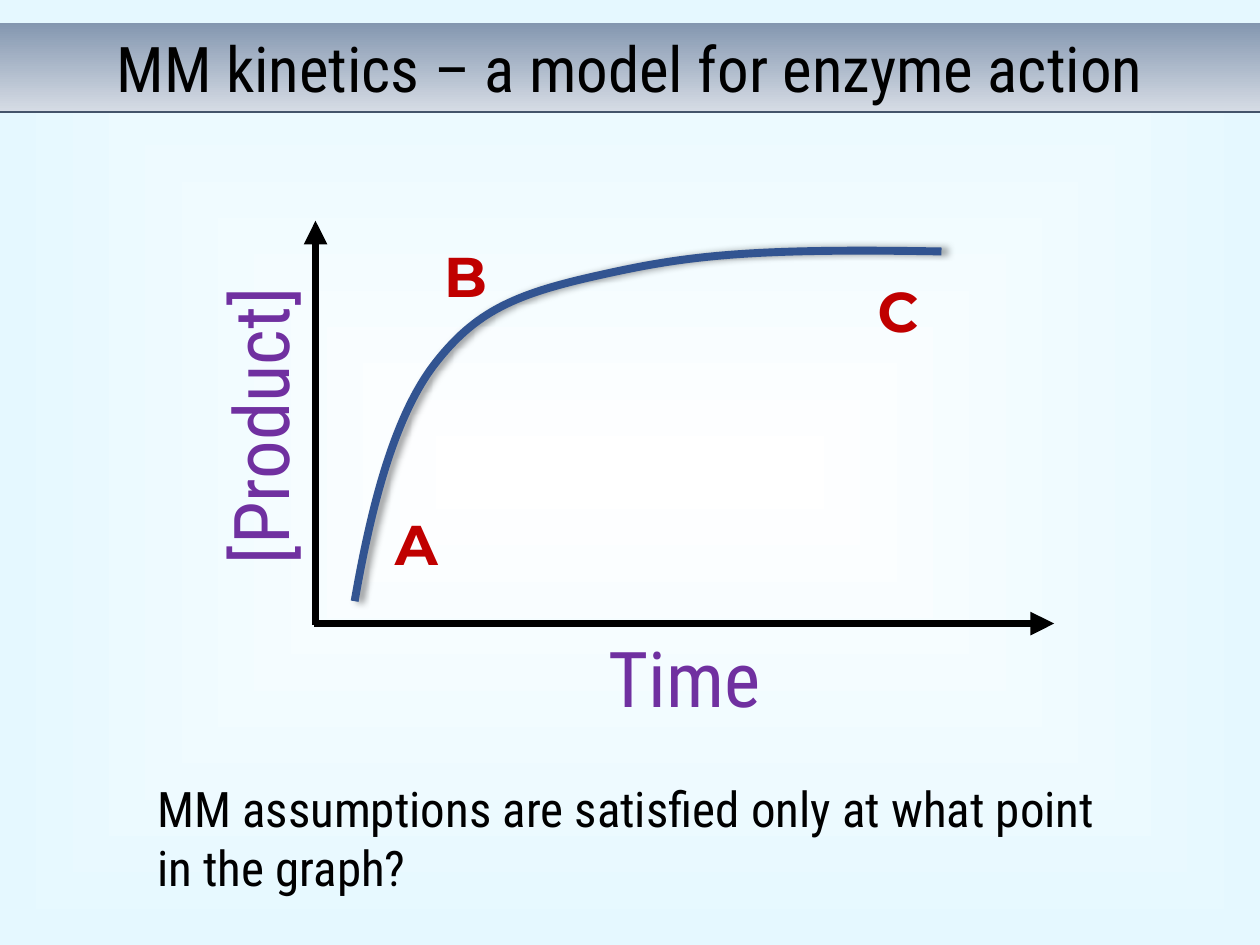
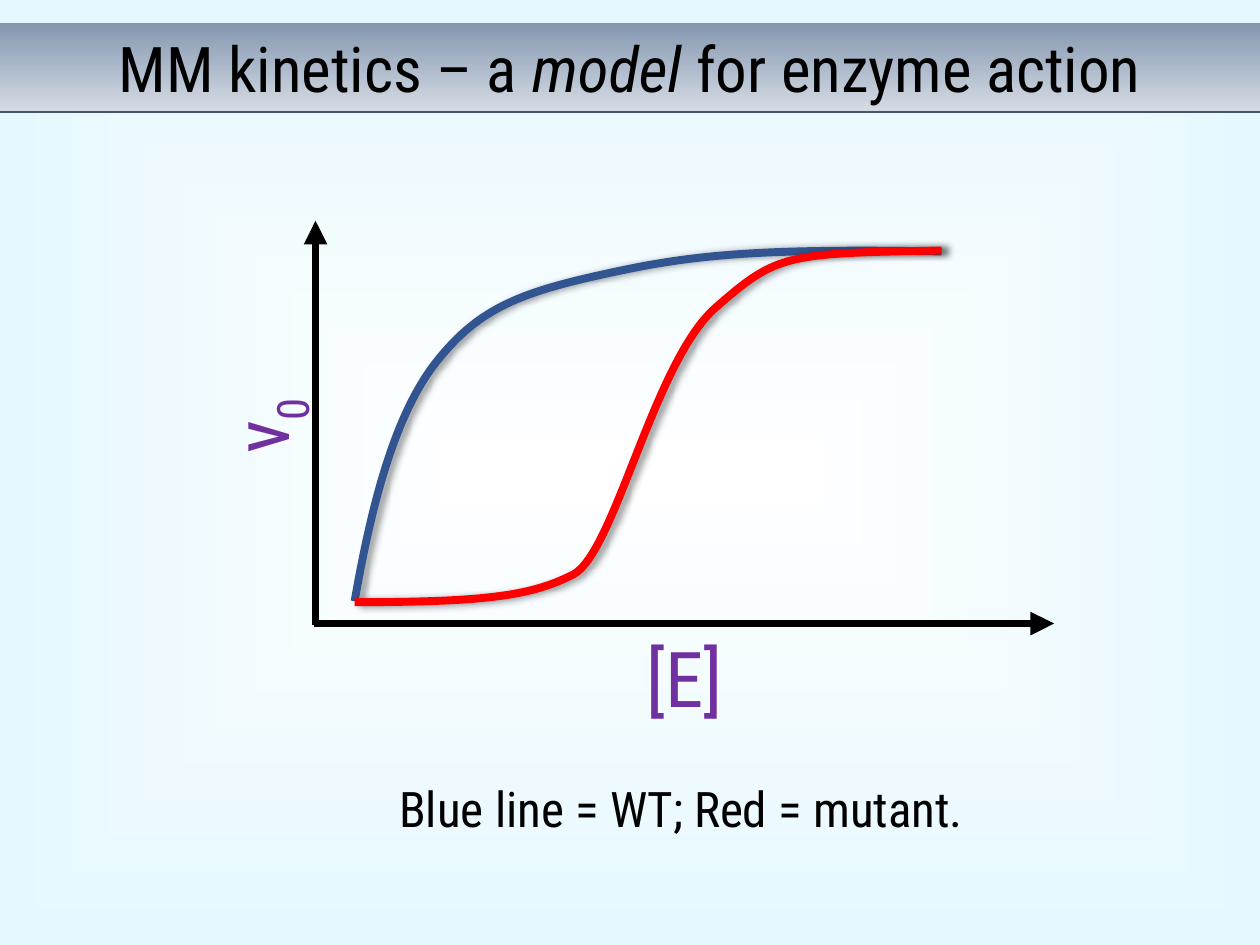
from dataclasses import dataclass
from typing import NamedTuple

from lxml import etree
from pptx import Presentation
from pptx.dml.color import RGBColor
from pptx.enum.shapes import MSO_CONNECTOR
from pptx.enum.text import MSO_ANCHOR, MSO_AUTO_SIZE, PP_ALIGN
from pptx.oxml.ns import qn
from pptx.util import Cm, Pt

STRAIGHT = MSO_CONNECTOR.STRAIGHT
MIDDLE, TOP = MSO_ANCHOR.MIDDLE, MSO_ANCHOR.TOP
NO_AUTOFIT = MSO_AUTO_SIZE.NONE
CENTER, LEFT = PP_ALIGN.CENTER, PP_ALIGN.LEFT
TITLE_ONLY = 5


@dataclass(frozen=True)
class Theme:
    text_font: str = "Roboto Condensed"
    mark_font: str = "Montserrat"
    black: str = "000000"
    axis_label: str = "7030A0"
    mark: str = "C00000"
    wild_type: str = "325491"
    mutant: str = "FF0000"
    band_line: str = "44546A"
    band: tuple[str, str] = ("D6DCE5", "8497B0")
    background: tuple[str, str] = ("FFFFFF", "E5F8FF")
    title_size: int = 36
    axis_size: int = 44
    mark_size: int = 32
    note_size: int = 28
    thin: float = 1
    thick: float = 4.5


THEME = Theme()


class Box(NamedTuple):
    left: float
    top: float
    width: float
    height: float


class Piece(NamedTuple):
    text: str
    italic: bool = False
    baseline: int = 0


class TextStyle(NamedTuple):
    font: str
    size: int
    color: str
    bold: bool = False
    alignment: PP_ALIGN = CENTER
    anchor: MSO_ANCHOR = TOP


class Label(NamedTuple):
    pieces: list[Piece]
    box: Box
    style: TextStyle
    rotation: int = 0


class Curve(NamedTuple):
    """A start point followed by three Bézier points per segment."""
    points: list[tuple[float, float]]
    color: str


@dataclass(frozen=True)
class GraphSlide:
    title: list[Piece]
    curves: list[Curve]
    y_label: list[Piece]
    x_label: list[Piece]
    notes: list[Label]


TITLE_STYLE = TextStyle(THEME.text_font, THEME.title_size, THEME.black, anchor=MIDDLE)
AXIS_STYLE = TextStyle(THEME.text_font, THEME.axis_size, THEME.axis_label)
MARK_STYLE = TextStyle(THEME.mark_font, THEME.mark_size, THEME.mark, bold=True)
NOTE_STYLE = TextStyle(THEME.text_font, THEME.note_size, THEME.black, alignment=LEFT)

# Shared places, in centimetres
SLIDE_WIDTH, SLIDE_HEIGHT = 25.4, 19.05
TITLE_BAND = Box(0, 0.46, SLIDE_WIDTH, 1.8)
BAND_BOTTOM = TITLE_BAND.top + TITLE_BAND.height
Y_AXIS = ((6.36, 12.6), (6.36, 4.45))
X_AXIS = ((6.32, 12.57), (21.25, 12.57))
Y_LABEL_BOX = Box(2.31, 7.52, 5.84, 2.13)
X_LABEL_BOX = Box(12.01, 12.58, 3.58, 2.13)
NOTE_TOP = 15.56

HYPERBOLIC = Curve([
    (7.15, 12.12),
    (7.47, 10.29), (7.92, 8.46), (8.74, 7.37),
    (9.58, 6.27), (10.39, 5.92), (12.12, 5.54),
    (13.82, 5.16), (15.09, 5.0), (18.98, 5.07),
], THEME.wild_type)
SIGMOID = Curve([
    (7.15, 12.14),
    (9.8, 12.14), (10.72, 12.01), (11.56, 11.58),
    (12.4, 11.13), (13.18, 7.29), (14.43, 6.2),
    (15.67, 5.11), (15.85, 5.11), (18.98, 5.05),
], THEME.mutant)


def mark(letter: str, left: float, top: float) -> Label:
    return Label([Piece(letter)], Box(left, top, 1.65, 1.63), MARK_STYLE)


def note(text: str, left: float, width: float, height: float) -> Label:
    return Label([Piece(text)], Box(left, NOTE_TOP, width, height), NOTE_STYLE)


SLIDES = [
    GraphSlide(
        title=[Piece("MM kinetics – a model for enzyme action")],
        curves=[HYPERBOLIC],
        y_label=[Piece("[Product]")],
        x_label=[Piece("Time")],
        notes=[
            mark("A", 7.57, 10.15),
            mark("B", 8.56, 4.74),
            mark("C", 17.28, 5.44),
            note("MM assumptions are satisfied only at what point in the graph?",
                 3.17, 19.05, 2.64),
        ],
    ),
    GraphSlide(
        title=[Piece("MM kinetics – a "), Piece("model", italic=True),
               Piece(" for enzyme action")],
        curves=[HYPERBOLIC, SIGMOID],
        y_label=[Piece("v"), Piece("0", baseline=-25000)],
        x_label=[Piece("[E]")],
        notes=[note("Blue line = WT; Red = mutant.", 8.05, 11.48, 1.45)],
    ),
]


def set_values(target, values: dict) -> None:
    for name, value in values.items():
        setattr(target, name, value)


def set_gradient(fill, colors: tuple[str, str]) -> None:
    fill.gradient()
    for stop, color in zip(fill.gradient_stops, colors):
        stop.color.rgb = RGBColor.from_string(color)


def set_background(master) -> None:
    """Fill every slide with a gradient that spreads from the centre."""
    set_gradient(master.background.fill, THEME.background)
    gradient = next(master.element.iter(qn("a:gradFill")))
    gradient.remove(gradient.find(qn("a:lin")))
    spread = etree.SubElement(gradient, qn("a:path"), {"path": "shape"})
    sides = dict.fromkeys("ltrb", "50000")
    etree.SubElement(spread, qn("a:fillToRect"), sides)


def write_text(shape, pieces: list[Piece], style: TextStyle) -> None:
    frame = shape.text_frame
    set_values(frame, {
        "word_wrap": True, "auto_size": NO_AUTOFIT, "vertical_anchor": style.anchor,
        "margin_left": 0, "margin_right": 0,
        "margin_top": Cm(0.13), "margin_bottom": Cm(0.13),
    })
    paragraph = frame.paragraphs[0]
    paragraph.alignment = style.alignment
    for piece in pieces:
        run = paragraph.add_run()
        run.text = piece.text
        set_values(run.font, {"name": style.font, "size": Pt(style.size),
                              "bold": style.bold, "italic": piece.italic})
        run.font.color.rgb = RGBColor.from_string(style.color)
        if piece.baseline:
            run._r.get_or_add_rPr().set("baseline", str(piece.baseline))


def place(shape, box: Box) -> None:
    set_values(shape, {name: Cm(value) for name, value in box._asdict().items()})


def set_line(shape, color: str, width: float):
    """Format the outline and return an empty effect list for the shape."""
    shape.line.color.rgb = RGBColor.from_string(color)
    shape.line.width = Pt(width)
    return etree.SubElement(shape._element.spPr, qn("a:effectLst"))


def add_line(slide, start: tuple[float, float], end: tuple[float, float],
             color: str, width: float, arrow: bool = False) -> None:
    line = slide.shapes.add_connector(
        STRAIGHT, *(Cm(value) for value in (*start, *end)))
    set_line(line, color, width)
    if arrow:
        outline = line._element.spPr.find(qn("a:ln"))
        etree.SubElement(outline, qn("a:tailEnd"), {"type": "triangle"})


def add_title(slide, pieces: list[Piece]) -> None:
    title = slide.shapes.title
    place(title, TITLE_BAND)
    set_gradient(title.fill, THEME.band)
    title.fill.gradient_angle = 90
    write_text(title, pieces, TITLE_STYLE)
    add_line(slide, (0, BAND_BOTTOM), (SLIDE_WIDTH, BAND_BOTTOM),
             THEME.band_line, THEME.thin)


def bend_segments(shape, points: list[tuple[int, int]]) -> None:
    """Turn each straight segment into a cubic one with its control points."""
    segments = list(shape._element.iter(qn("a:lnTo")))
    for index, segment in enumerate(segments):
        segment.tag = qn("a:cubicBezTo")
        first = 3 * index + 1
        controls = [
            etree.Element(qn("a:pt"), {"x": str(x - shape.left), "y": str(y - shape.top)})
            for x, y in points[first:first + 3]]
        segment[:] = controls


def add_curve(slide, curve: Curve) -> None:
    points = [(Cm(x), Cm(y)) for x, y in curve.points]
    builder = slide.shapes.build_freeform(*points[0])
    builder.add_line_segments(points[3::3], close=False)
    shape = builder.convert_to_shape()
    bend_segments(shape, points)
    shape.fill.background()
    effects = set_line(shape, curve.color, THEME.thick)
    # Soft shadow to the right
    shadow = etree.SubElement(effects, qn("a:outerShdw"), {
        "blurRad": str(Pt(4)), "dist": str(Pt(3)), "dir": "0",
        "algn": "l", "rotWithShape": "0"})
    color = etree.SubElement(shadow, qn("a:srgbClr"), {"val": THEME.black})
    etree.SubElement(color, qn("a:alpha"), {"val": "40000"})


def add_label(slide, label: Label) -> None:
    text_box = slide.shapes.add_textbox(*(Cm(value) for value in label.box))
    text_box.rotation = label.rotation
    write_text(text_box, label.pieces, label.style)


def add_graph_slide(presentation, content: GraphSlide) -> None:
    slide = presentation.slides.add_slide(presentation.slide_layouts[TITLE_ONLY])
    add_title(slide, content.title)
    # Base curve, axes and labels, then the curves laid over them
    base_curve, *overlay_curves = content.curves
    add_curve(slide, base_curve)
    for start, end in (Y_AXIS, X_AXIS):
        add_line(slide, start, end, THEME.black, THEME.thick, arrow=True)
    axis_labels = [Label(content.y_label, Y_LABEL_BOX, AXIS_STYLE, rotation=270),
                   Label(content.x_label, X_LABEL_BOX, AXIS_STYLE)]
    for label in axis_labels + content.notes:
        add_label(slide, label)
    for curve in overlay_curves:
        add_curve(slide, curve)


def main() -> None:
    presentation = Presentation()
    set_values(presentation, {"slide_width": Cm(SLIDE_WIDTH),
                              "slide_height": Cm(SLIDE_HEIGHT)})
    set_background(presentation.slide_master)
    for content in SLIDES:
        add_graph_slide(presentation, content)
    presentation.save("out.pptx")


if __name__ == "__main__":
    main()
